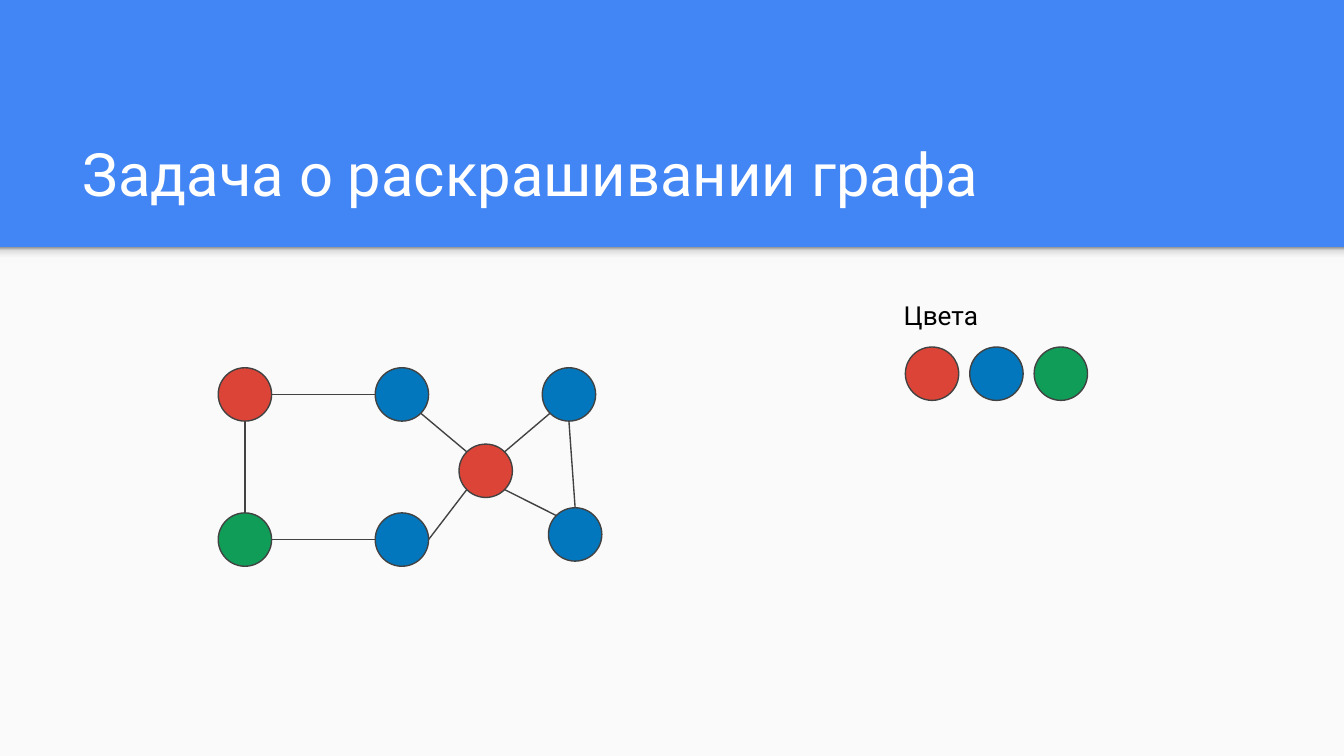
from math import sin, cos, radians
from lxml.etree import SubElement
from pptx import Presentation
from pptx.dml.color import RGBColor
from pptx.enum.shapes import MSO_CONNECTOR, MSO_SHAPE
from pptx.enum.text import MSO_ANCHOR, MSO_AUTO_SIZE, PP_ALIGN
from pptx.oxml.ns import qn
from pptx.util import Pt

SKY = RGBColor(0x42, 0x85, 0xF4)
PAPER = RGBColor(0xFA, 0xFA, 0xFA)
WHITE = RGBColor(0xFF, 0xFF, 0xFF)
BLACK = RGBColor(0, 0, 0)
GREY = RGBColor(0x42, 0x42, 0x42)
RED = RGBColor(0xDB, 0x44, 0x37)
BLUE = RGBColor(0x02, 0x77, 0xBD)
GREEN = RGBColor(0x0F, 0x9D, 0x58)
SIZE = 28.6

deck = Presentation()
deck.slide_width, deck.slide_height = Pt(720), Pt(405)
slide = deck.slides.add_slide(deck.slide_layouts[5])
shapes = slide.shapes
slide.background.fill.solid()
slide.background.fill.fore_color.rgb = SKY


def draw(kind, left, top, width, height, color):
    shape = shapes.add_shape(kind, Pt(left), Pt(top), Pt(width), Pt(height))
    shape.shadow.inherit = False
    shape.fill.solid()
    shape.fill.fore_color.rgb = color
    if kind == MSO_SHAPE.OVAL:
        shape.line.color.rgb = GREY
        shape.line.width = Pt(0.75)
    else:
        shape.line.fill.background()
    return shape


def write(box, text, size, color, anchor):
    frame = box.text_frame
    frame.word_wrap = True
    frame.auto_size = MSO_AUTO_SIZE.NONE
    frame.vertical_anchor = anchor
    frame.margin_left = frame.margin_right = Pt(7.2)
    frame.margin_top = frame.margin_bottom = Pt(7.2)
    para = frame.paragraphs[0]
    para.alignment = PP_ALIGN.LEFT
    run = para.add_run()
    run.text = text
    run.font.name = "Roboto"
    run.font.size = Pt(size)
    run.font.color.rgb = color


# Page body and the soft shade below the header
draw(MSO_SHAPE.RECTANGLE, 0, 132.6, 720, 272.4, PAPER)
shade = draw(MSO_SHAPE.RECTANGLE, 0, 132.6, 720, 8.5, PAPER)
shade.fill.gradient()
shade.fill.gradient_angle = 90
stops = next(shade._element.iter(qn("a:gsLst")))
for stop in list(stops):
    stops.remove(stop)
for place, tone in [(0, "F9F9F9"), (36, "F9F9F9"), (80, "DEDEDE"), (100, "999999")]:
    stop = SubElement(stops, qn("a:gs"), pos=str(place * 1000))
    SubElement(stop, qn("a:srgbClr"), val=tone)

# Title
title = shapes.title
title.left, title.top, title.width, title.height = Pt(37.2), Pt(58.3), Pt(647.3), Pt(60.5)
write(title, "Задача о раскрашивании графа", 32, WHITE, MSO_ANCHOR.BOTTOM)

# Graph nodes: left, top, color
nodes = {
    "a": (116.9, 197, RED),
    "b": (201, 197, BLUE),
    "c": (201, 274.8, BLUE),
    "d": (116.9, 274.8, GREEN),
    "e": (290.5, 197, BLUE),
    "f": (293.8, 272, BLUE),
    "g": (245.9, 237.9, RED),
}
for left, top, color in nodes.values():
    draw(MSO_SHAPE.OVAL, left, top, SIZE, SIZE, color)

# Edges: each end is a node and an angle on its rim, clockwise from the right
edges = [
    ("a", 0, "b", 180),
    ("a", 90, "d", 270),
    ("d", 0, "c", 180),
    ("b", 45, "g", 225),
    ("c", 0, "g", 135),
    ("g", 315, "e", 135),
    ("g", 45, "f", 225),
    ("e", 90, "f", 270),
]
for start, out, end, into in edges:
    ends = []
    for name, angle in [(start, out), (end, into)]:
        left, top, color = nodes[name]
        turn = radians(angle)
        ends += [Pt(left + SIZE / 2 * (1 + cos(turn))),
                 Pt(top + SIZE / 2 * (1 + sin(turn)))]
    edge = shapes.add_connector(MSO_CONNECTOR.STRAIGHT, *ends)
    edge.line.color.rgb = GREY
    edge.line.width = Pt(0.75)
    SubElement(edge._element.spPr, qn("a:effectLst"))

# Color key
label = shapes.add_textbox(Pt(477), Pt(153.2), Pt(129), Pt(26.6))
write(label, "Цвета", 14, BLACK, MSO_ANCHOR.TOP)
for index, color in enumerate([RED, BLUE, GREEN]):
    draw(MSO_SHAPE.OVAL, 485 + 34.5 * index, 185.9, SIZE, SIZE, color)

deck.save("out.pptx")
